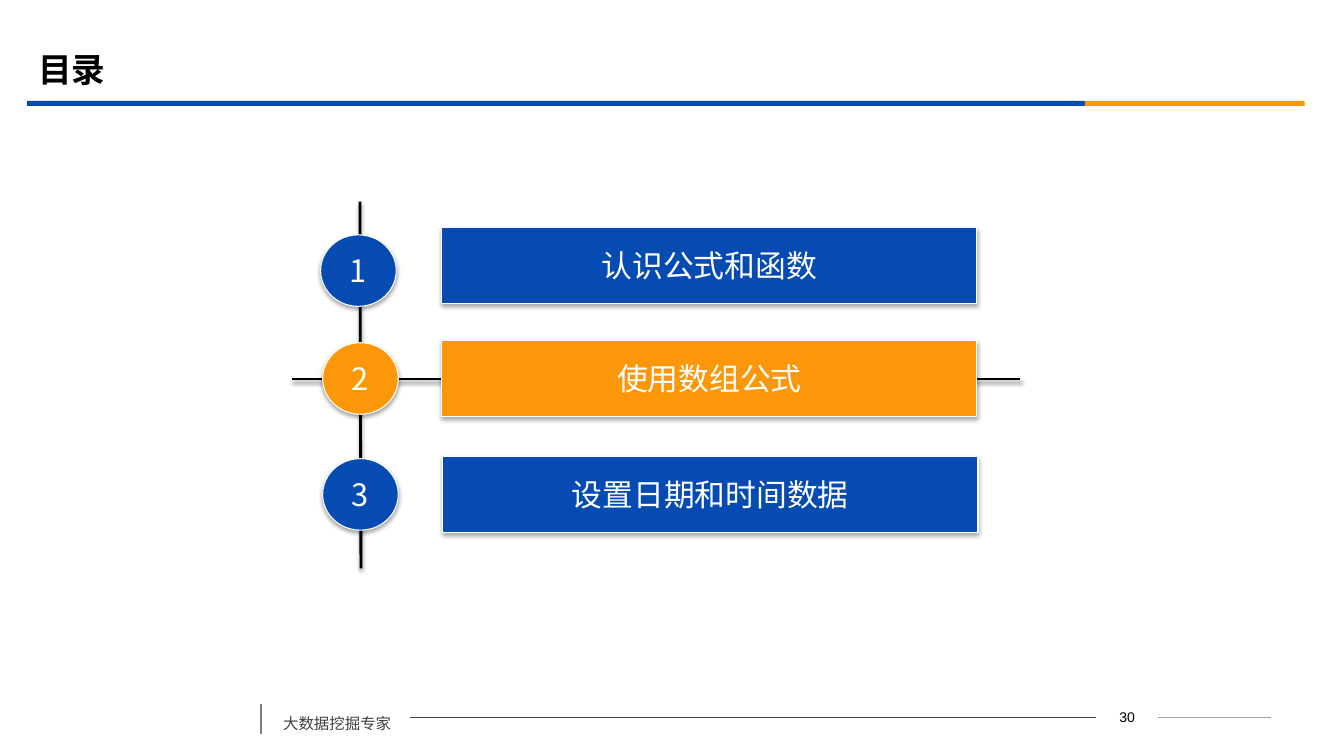
from lxml import etree
from pptx import Presentation
from pptx.dml.color import RGBColor
from pptx.enum.shapes import MSO_CONNECTOR, MSO_SHAPE
from pptx.enum.text import MSO_ANCHOR, PP_ALIGN
from pptx.oxml.ns import qn
from pptx.util import Inches, Pt

BLUE = RGBColor(0x06, 0x4B, 0xB2)
ORANGE = RGBColor(0xFB, 0x97, 0x08)
WHITE = RGBColor(0xFF, 0xFF, 0xFF)
BLACK = RGBColor(0, 0, 0)
DARK = RGBColor(0x40, 0x40, 0x40)
GREY = RGBColor(0x80, 0x80, 0x80)
LIGHT = RGBColor(0xA0, 0xA0, 0xA0)
CJK = "Noto Sans CJK SC"


def write(s, text, size, color, font=CJK, bold=False, align=PP_ALIGN.LEFT,
          anchor=MSO_ANCHOR.MIDDLE, wrap=True, spacing=None):
    tf = s.text_frame
    tf.word_wrap = wrap
    tf.vertical_anchor = anchor
    p = tf.paragraphs[0]
    p.alignment = align
    p.line_spacing = spacing
    r = p.add_run()
    r.text = text
    r.font.size = Pt(size)
    r.font.bold = bold
    r.font.color.rgb = color
    r.font.name = font
    etree.SubElement(r._r.rPr, qn("a:ea"), typeface=font)


def set_shadow(s, alpha=0, dist=0):
    """Replace the theme shadow by a soft downward one, or by none if alpha is 0."""
    effects = etree.SubElement(s._element.spPr, qn("a:effectLst"))
    if alpha:
        shadow = etree.SubElement(effects, qn("a:outerShdw"), blurRad=str(Pt(3.1)),
                                  dist=str(Pt(dist)), dir="5400000", rotWithShape="0")
        color = etree.SubElement(shadow, qn("a:srgbClr"), val="000000")
        etree.SubElement(color, qn("a:alpha"), val=str(alpha * 1000))


prs = Presentation()
prs.slide_width, prs.slide_height = Inches(13.33), Inches(7.5)
slide = prs.slides.add_slide(prs.slide_layouts[6])
shapes = slide.shapes

# Title and the two-colour rule below it
title = shapes.add_textbox(Inches(0.28), Inches(0.39), Inches(12), Inches(0.58))
write(title, "目录", 24, BLACK, bold=True)
for left, width, color in [(0.27, 10.49, BLUE), (10.76, 2.18, ORANGE)]:
    bar = shapes.add_shape(MSO_SHAPE.RECTANGLE, Inches(left), Inches(1),
                           Inches(width), Inches(0.05))
    bar.fill.solid()
    bar.fill.fore_color.rgb = color
    bar.line.fill.background()
    set_shadow(bar)

# Footer texts
footer = shapes.add_textbox(Inches(2.71), Inches(6.94), Inches(1.36), Inches(0.38))
write(footer, "大数据挖掘专家", 11, DARK, anchor=MSO_ANCHOR.TOP, spacing=1.5)
number = shapes.add_textbox(Inches(10.87), Inches(6.99), Inches(0.62), Inches(0.25))
write(number, "30", 10, BLACK, font="Arial", align=PP_ALIGN.CENTER)

# Footer rules, then the two axes of the agenda
for x1, y1, x2, y2, color, weight, alpha in [
    (11.49, 7.12, 12.61, 7.12, LIGHT, 0.75, 0),
    (4.07, 7.12, 10.87, 7.12, DARK, 0.75, 0),
    (2.59, 6.98, 2.59, 7.28, GREY, 1.25, 0),
    (3.57, 2, 3.58, 5.64, BLACK, 2, 38),
    (2.9, 3.76, 10.12, 3.76, BLACK, 2, 38),
]:
    line = shapes.add_connector(MSO_CONNECTOR.STRAIGHT, Inches(x1), Inches(y1),
                                Inches(x2), Inches(y2))
    line.line.color.rgb = color
    line.line.width = Pt(weight)
    set_shadow(line, alpha, 1.6)

# Agenda: a numbered circle and a title bar for each chapter
agenda = [
    ("认识公式和函数", BLUE, 3.18, 2.33, 4.38, 2.26),
    ("使用数组公式", ORANGE, 3.2, 3.4, 4.38, 3.38),
    ("设置日期和时间数据", BLUE, 3.2, 4.55, 4.39, 4.53),
]
for i, (chapter, color, circle_x, circle_y, bar_x, bar_y) in enumerate(agenda, 1):
    for kind, text, x, y, w, h in [
        (MSO_SHAPE.OVAL, str(i), circle_x, circle_y, 0.75, 0.71),
        (MSO_SHAPE.ACTION_BUTTON_CUSTOM, chapter, bar_x, bar_y, 5.31, 0.75),
    ]:
        s = shapes.add_shape(kind, Inches(x), Inches(y), Inches(w), Inches(h))
        s.fill.solid()
        s.fill.fore_color.rgb = color
        s.line.color.rgb = WHITE
        s.line.width = Pt(0.75)
        set_shadow(s, 35, 1.8)
        write(s, text, 22, WHITE, align=PP_ALIGN.CENTER, wrap=False)

prs.save("out.pptx")
